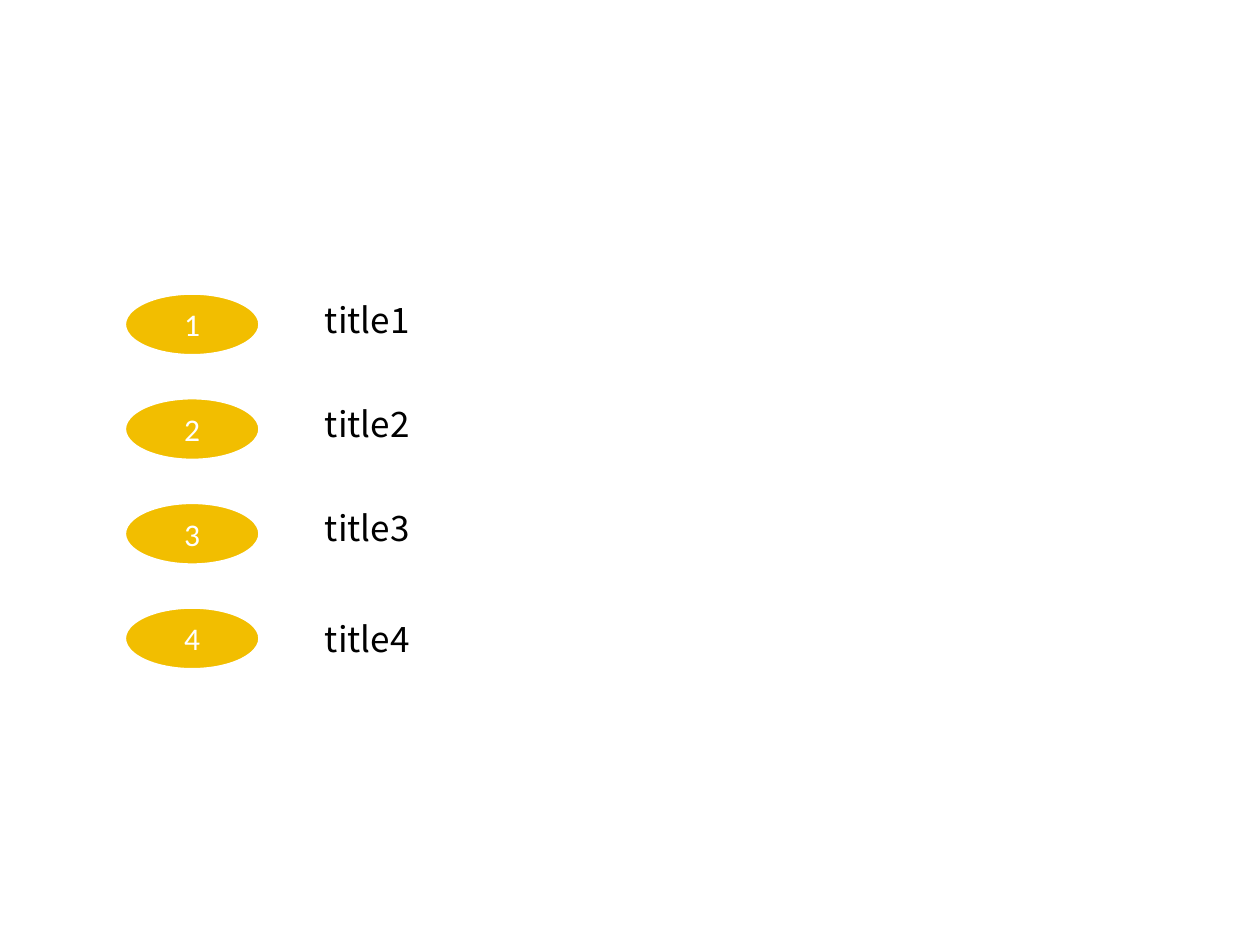
from dataclasses import dataclass

from pptx import Presentation
from pptx.dml.color import RGBColor
from pptx.enum.shapes import MSO_SHAPE
from pptx.enum.text import MSO_ANCHOR, MSO_AUTO_SIZE, PP_ALIGN
from pptx.slide import Slide
from pptx.text.text import TextFrame
from pptx.util import Cm, Pt

OVAL = MSO_SHAPE.OVAL
MIDDLE = MSO_ANCHOR.MIDDLE
GROW = MSO_AUTO_SIZE.SHAPE_TO_FIT_TEXT
LEFT = PP_ALIGN.LEFT
CENTER = PP_ALIGN.CENTER

COLORS = {"gold": "F2BE00", "white": "FFFFFF", "black": "000000"}
TOP = 5.89
PITCH = 2.11


@dataclass
class Item:
    title: str
    top: float
    width: float = 18.21


ITEMS = [
    Item("title1", 5.89, 18.06),
    Item("title2", 7.98),
    Item("title3", 10.08),
    Item("title4", 12.32),
]


def color(name: str) -> RGBColor:
    return RGBColor.from_string(COLORS[name])


def write(frame: TextFrame, text: str, size: int, face: str, ink: str, align: PP_ALIGN) -> None:
    frame.word_wrap = True
    frame.text = text
    para = frame.paragraphs[0]
    para.alignment = align
    para.font.size = Pt(size)
    para.font.name = face
    para.font.color.rgb = color(ink)


def add_badge(slide: Slide, index: int) -> None:
    badge = slide.shapes.add_shape(OVAL, Cm(2.49), Cm(TOP + index * PITCH), Cm(2.77), Cm(1.3))
    badge.shadow.inherit = False
    badge.fill.solid()
    badge.fill.fore_color.rgb = color("gold")
    badge.line.color.rgb = color("white")
    badge.line.width = Pt(3)
    badge.text_frame.vertical_anchor = MIDDLE
    write(badge.text_frame, str(index + 1), 18, "Calibri", "white", CENTER)


def add_title(slide: Slide, item: Item) -> None:
    box = slide.shapes.add_textbox(Cm(6.3), Cm(item.top), Cm(item.width), Cm(1.12))
    write(box.text_frame, item.title, 20, "Noto Sans CJK SC", "black", LEFT)
    box.text_frame.auto_size = GROW


deck = Presentation()
deck.slide_width, deck.slide_height = Cm(25.4), Cm(19.05)
slide = deck.slides.add_slide(deck.slide_layouts[6])
for index, item in enumerate(ITEMS):
    add_badge(slide, index)
    add_title(slide, item)
deck.save("out.pptx")
